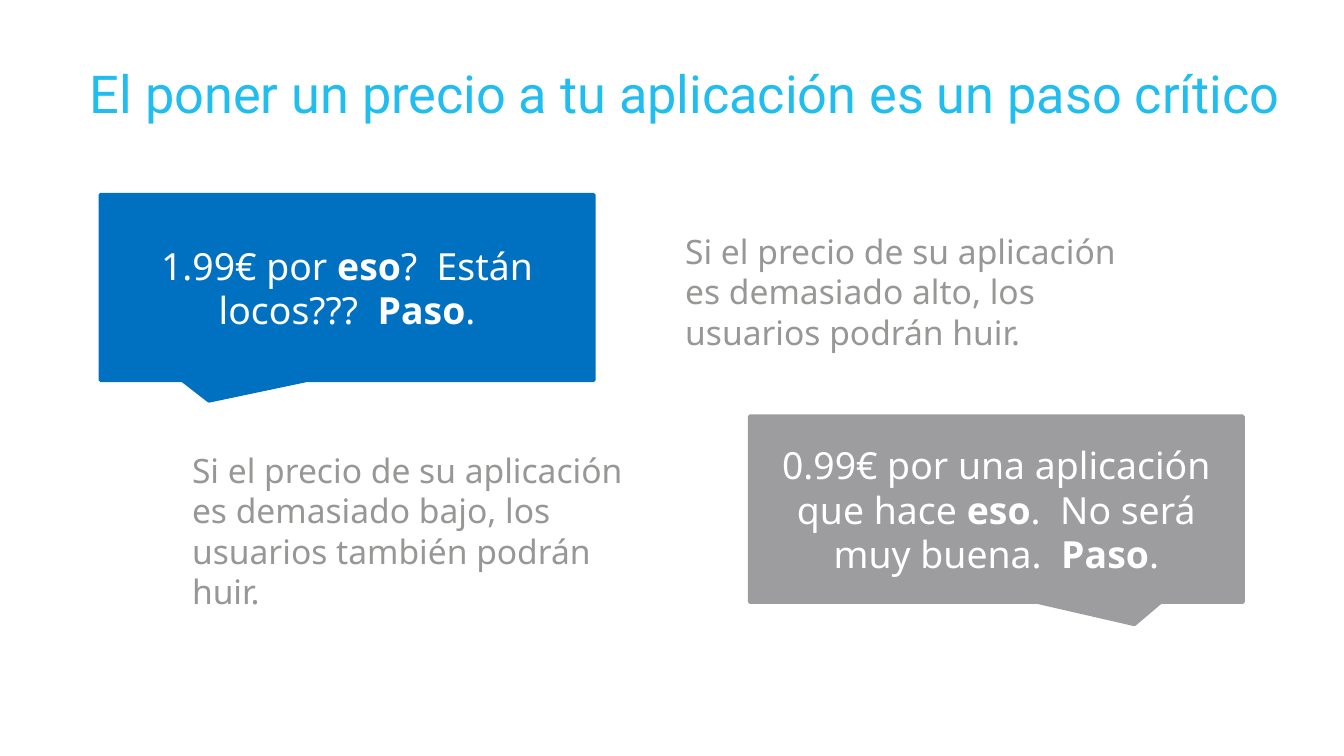
from pptx import Presentation
from pptx.dml.color import RGBColor
from pptx.enum import shapes, text
from pptx.util import Cm, Pt

CYAN = RGBColor(0x22, 0xBD, 0xEF)
BLUE = RGBColor(0x00, 0x70, 0xC0)
GRAY = RGBColor(0x9D, 0x9D, 0x9F)
INK = RGBColor(0x97, 0x97, 0x96)
WHITE = RGBColor(0xFF, 0xFF, 0xFF)
WIDTH = Cm(9.32)


def write(frame, words, font, size, color):
    """Fill the frame with one paragraph; parts between asterisks are bold."""
    frame.word_wrap = True
    par = frame.paragraphs[0]
    for i, part in enumerate(words.split("*")):
        run = par.add_run()
        run.text = part
        run.font.name = font
        run.font.size = Pt(size)
        run.font.color.rgb = color
        run.font.bold = i % 2 == 1
    return par


deck = Presentation()
deck.slide_width, deck.slide_height = Cm(25.4), Cm(14.29)
slide = deck.slides.add_slide(deck.slide_layouts[6])

# Title
title = slide.shapes.add_textbox(Cm(1.7), Cm(1.09), Cm(23.04), Cm(1.85))
frame = title.text_frame
frame.margin_left = frame.margin_right = frame.margin_top = frame.margin_bottom = 0
par = write(frame, "El poner un precio a tu aplicación es un paso crítico", "Roboto", 28, CYAN)
par.line_spacing = 1.05

# Speech bubbles: left, top, tail x, tail y, colour, words
bubbles = [
    (1.9, 3.68, -0.28, 0.61, BLUE, "1.99€ por *eso*?  Están locos???  *Paso*."),
    (14.17, 7.87, 0.28, 0.62, GRAY,
     "0.99€ por una aplicación que hace *eso*.  No será muy buena.  *Paso*."),
]
for left, top, tail_x, tail_y, color, words in bubbles:
    bubble = slide.shapes.add_shape(
        shapes.MSO_SHAPE.RECTANGULAR_CALLOUT, Cm(left), Cm(top), WIDTH, Cm(3.51))
    bubble.adjustments[0] = tail_x
    bubble.adjustments[1] = tail_y
    bubble.shadow.inherit = False
    bubble.fill.solid()
    bubble.fill.fore_color.rgb = color
    bubble.line.color.rgb = color
    bubble.line.width = Pt(2)
    bubble.text_frame.vertical_anchor = text.MSO_ANCHOR.MIDDLE
    par = write(bubble.text_frame, words, "Noto Sans", 20, WHITE)
    par.alignment = text.PP_ALIGN.CENTER

# Remarks beside the bubbles
remarks = [
    (12.7, 4.24, "Si el precio de su aplicación es demasiado alto, los usuarios podrán huir."),
    (3.38, 8.38, "Si el precio de su aplicación es demasiado bajo, los usuarios también podrán huir."),
]
for left, top, words in remarks:
    box = slide.shapes.add_textbox(Cm(left), Cm(top), WIDTH, Cm(2.57))
    write(box.text_frame, words, "Noto Sans", 18, INK)
    box.text_frame.auto_size = text.MSO_AUTO_SIZE.SHAPE_TO_FIT_TEXT

deck.save("out.pptx")
